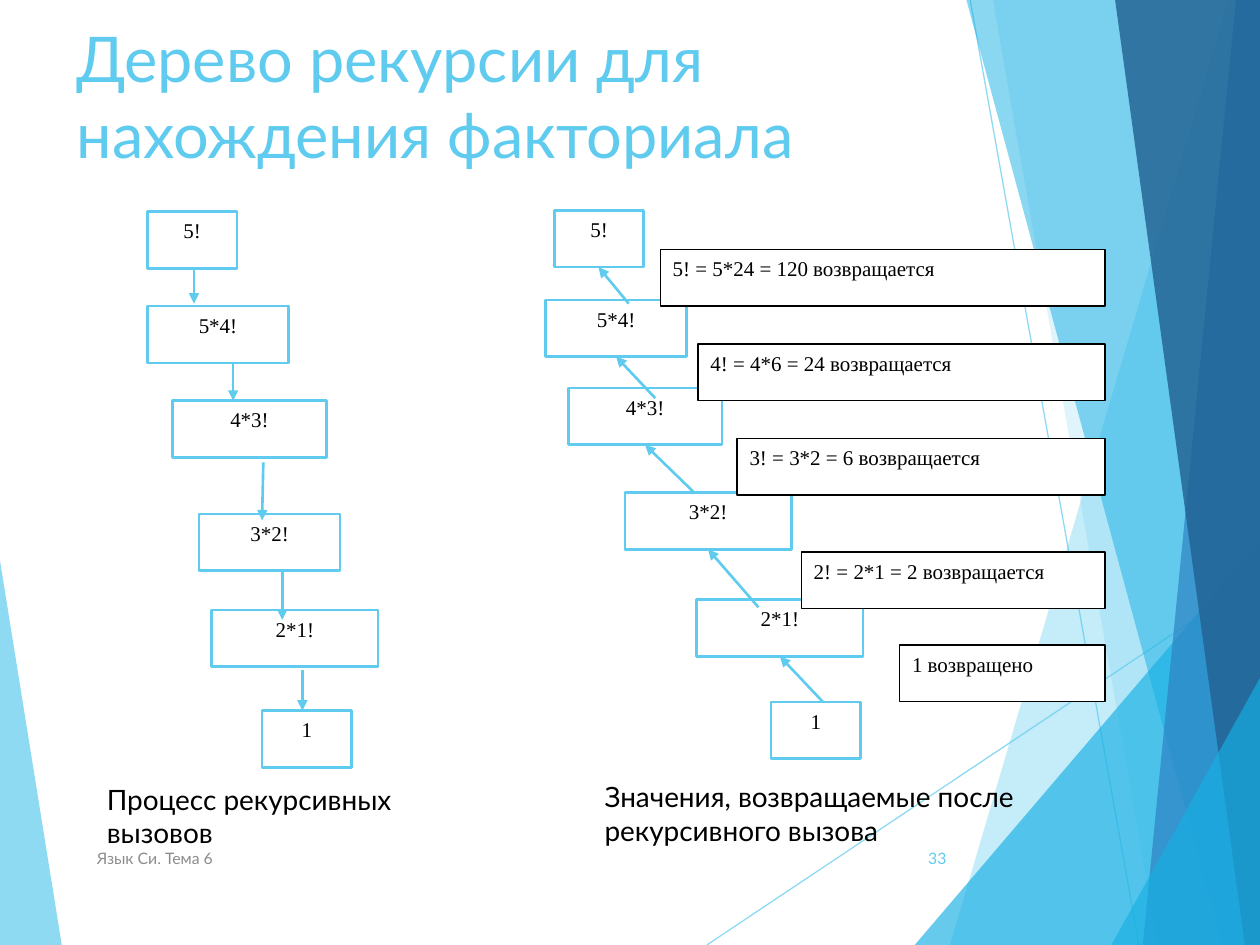
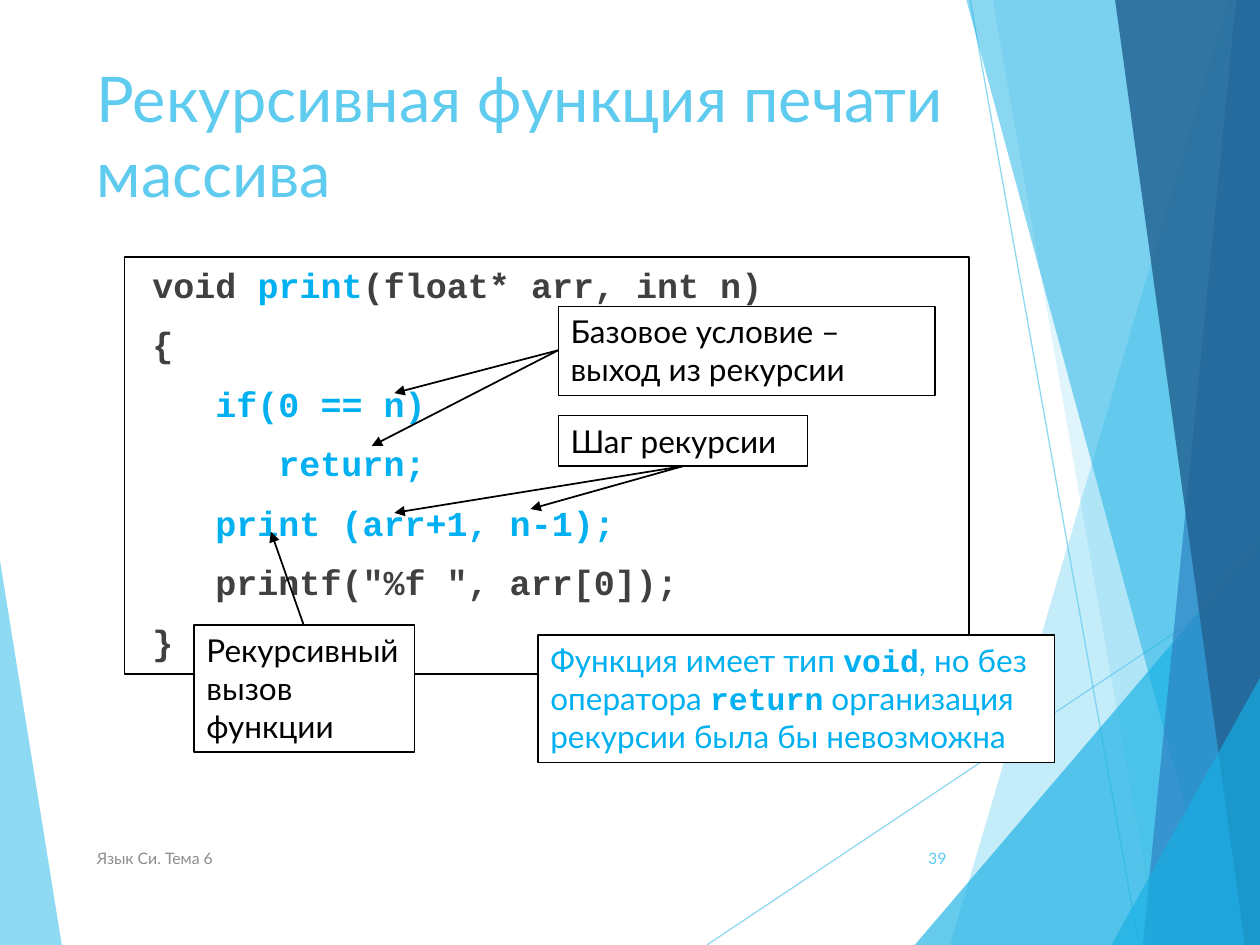
from lxml import etree
from pptx import Presentation
from pptx.dml.color import RGBColor
from pptx.enum.shapes import MSO_CONNECTOR, MSO_SHAPE
from pptx.enum.text import MSO_ANCHOR, PP_ALIGN
from pptx.oxml.ns import qn
from pptx.util import Inches, Pt

RECT, STRAIGHT = MSO_SHAPE.RECTANGLE, MSO_CONNECTOR.STRAIGHT
LEFT, CENTER, RIGHT = PP_ALIGN.LEFT, PP_ALIGN.CENTER, PP_ALIGN.RIGHT
TOP, MIDDLE = MSO_ANCHOR.TOP, MSO_ANCHOR.MIDDLE

C = {"sky": "5FCBEF", "cyan": "17B0E4", "blue": "2E83C3", "navy": "226292",
     "accent": "00B0F0", "white": "FFFFFF", "black": "000000",
     "code": "404040", "gray": "8C8C8C"}
BODY, SERIF, MONO = "Lato", "Times New Roman", "Courier New"

# Translucent bands: colour, opacity in percent, corners
LEFT_BAND = ("sky", 70, [(0, 4.45), (0.49, 7.5), (0, 7.5)])
RIGHT_BANDS = [
    ("sky", 36, [(9.75, 0), (7.54, 7.5), (10, 7.5), (10, 0)]),
    ("sky", 20, [(7.88, 0), (9.19, 7.5), (10, 7.5), (10, 0)]),
    ("cyan", 66, [(7.26, 7.5), (10, 4.29), (10, 7.5)]),
    ("cyan", 50, [(7.67, 0), (9.7, 7.5), (10, 7.5), (10, 0)]),
    ("blue", 70, [(9.81, 0), (9.07, 7.5), (10, 7.5), (10, 0)]),
    ("navy", 82, [(8.85, 0), (9.88, 7.5), (10, 7.5), (10, 0)]),
    ("cyan", 66, [(8.82, 7.5), (10, 5.38), (10, 7.5)]),
]
THIN_LINES = [(5.61, 7.5, 10, 4.57), (7.7, 0, 9.04, 7.5)]


def rgb(name):
    return RGBColor.from_string(C[name])


def add_text(p, text, size=18, color="black", font=BODY, bold=False):
    r = p.add_run()
    r.text = text
    r.font.size, r.font.name, r.font.bold = Pt(size), font, bold
    r.font.color.rgb = rgb(color)


def set_alpha(fill_owner, percent):
    for clr in fill_owner.iter(qn("a:srgbClr")):
        etree.SubElement(clr, qn("a:alpha"), val=str(percent * 1000))


class Deck:
    def __init__(self):
        self.prs = Presentation()
        self.prs.slide_width, self.prs.slide_height = Inches(10), Inches(7.5)
        self.s = None

    def slide(self, title, title_x, title_y, number):
        self.s = self.prs.slides.add_slide(self.prs.slide_layouts[6])
        self.band(*LEFT_BAND)
        for ends in THIN_LINES:
            self.line(*ends, color="sky", width=0.75, alpha=70, arrow=False)
        for band in RIGHT_BANDS:
            self.band(*band)
        self.label(title, title_x, title_y, 6.94, 1.44, size=36, color="sky")
        self.label("Язык Си. Тема 6", 0.67, 6.61, 5.06, 0.4, anchor=MIDDLE,
                   size=9, color="gray")
        self.label(str(number), 7.05, 6.61, 0.56, 0.4, anchor=MIDDLE,
                   align=RIGHT, size=9, color="sky")

    def band(self, color, alpha, corners):
        pts = [(Inches(x), Inches(y)) for x, y in corners]
        fb = self.s.shapes.build_freeform(*pts[0], scale=1.0)
        fb.add_line_segments(pts[1:], close=True)
        sp = fb.convert_to_shape()
        sp.shadow.inherit = False
        sp.fill.solid()
        sp.fill.fore_color.rgb = rgb(color)
        sp.line.fill.background()
        set_alpha(sp._element.spPr, alpha)

    def line(self, x1, y1, x2, y2, color="black", width=1.0, alpha=None, arrow=True):
        cx = self.s.shapes.add_connector(
            STRAIGHT, Inches(x1), Inches(y1), Inches(x2), Inches(y2))
        cx.line.color.rgb = rgb(color)
        cx.line.width = Pt(width)
        if alpha:
            set_alpha(cx._element.spPr, alpha)
        if arrow:
            etree.SubElement(cx.line._get_or_add_ln(), qn("a:tailEnd"), type="triangle")
        etree.SubElement(cx._element.spPr, qn("a:effectLst"))

    def label(self, text, x, y, w, h, align=LEFT, anchor=TOP, **fmt):
        sp = self.s.shapes.add_textbox(Inches(x), Inches(y), Inches(w), Inches(h))
        self.fill_text(sp, [(text, fmt)], align, anchor)

    def box(self, runs, x, y, w, h, fill="white", border="black", width=0.75,
            align=LEFT):
        sp = self.s.shapes.add_shape(RECT, Inches(x), Inches(y), Inches(w), Inches(h))
        sp.shadow.inherit = False
        if fill:
            sp.fill.solid()
            sp.fill.fore_color.rgb = rgb(fill)
        else:
            sp.fill.background()
        sp.line.color.rgb = rgb(border)
        sp.line.width = Pt(width)
        self.fill_text(sp, runs, align, TOP)
        return sp

    def fill_text(self, sp, runs, align, anchor):
        tf = sp.text_frame
        tf.word_wrap, tf.vertical_anchor = True, anchor
        p = tf.paragraphs[0]
        p.alignment = align
        for text, fmt in runs:
            add_text(p, text, **fmt)

    def call(self, text, x, y, w):
        self.box([(text, {"size": 12, "font": SERIF})], x, y, w, 0.45,
                 border="sky", width=1.5, align=CENTER)

    def result(self, text, x, y, right=8.77):
        self.box([(text, {"size": 12, "font": SERIF})], x, y, right - x, 0.45)

    def tree(self, calls, arrows):
        for text, place in zip(CALLS, calls):
            self.call(text, *place)
        for ends in arrows:
            self.line(*ends, color="sky", width=1.5)

    def code(self, lines, x, y, w, h):
        tf = self.box([], x, y, w, h, fill=None).text_frame
        tf.margin_left = Inches(0.22)
        for i, runs in enumerate(lines):
            p = tf.paragraphs[0] if i == 0 else tf.add_paragraph()
            p.alignment = LEFT
            if i:
                p.space_before = Pt(10)
            tabs = etree.SubElement(p._p.get_or_add_pPr(), qn("a:tabLst"))
            for stop in (0.5, 1):
                etree.SubElement(tabs, qn("a:tab"), pos=str(Inches(stop)), algn="l")
            for text, color in runs:
                add_text(p, text, size=20, color=color, font=MONO, bold=True)


# Slide data: boxes are (left, top, width), arrows are (x1, y1, x2, y2)
CALLS = ["5!", "5*4!", "4*3!", "3*2!", "2*1!", "1"]
DOWN_CALLS = [(1.17, 1.68, 0.71), (1.17, 2.43, 1.12), (1.37, 3.18, 1.22),
              (1.58, 4.08, 1.12), (1.68, 4.84, 1.32), (2.08, 5.64, 0.71)]
DOWN_ARROWS = [(1.54, 2.12, 1.54, 2.41), (1.85, 2.88, 1.85, 3.18),
               (2.09, 3.67, 2.08, 4.13), (2.24, 4.54, 2.24, 4.92),
               (2.4, 5.32, 2.4, 5.64)]
UP_CALLS = [(4.4, 1.67, 0.71), (4.33, 2.38, 1.12), (4.51, 3.08, 1.22),
            (4.96, 3.91, 1.32), (5.53, 4.76, 1.32), (6.12, 5.57, 0.71)]
UP_ARROWS = [(6.53, 5.57, 6.19, 5.21), (6.02, 4.82, 5.62, 4.36),
             (5.51, 3.91, 5.12, 3.53), (5.2, 3.16, 4.89, 2.83),
             (4.99, 2.41, 4.75, 2.12)]
RESULTS = [("1 возвращено", 7.14, 5.12),
           ("2! = 2*1 = 2 возвращается", 6.36, 4.38),
           ("3! = 3*2 = 6 возвращается", 5.85, 3.48),
           ("4! = 4*6 = 24 возвращается", 5.54, 2.73),
           ("5! = 5*24 = 120 возвращается", 5.24, 1.98)]
CODE = [
    [("void ", "code"), ("print", "accent"), ("(float* arr, int n)", "code")],
    [("{", "code")],
    [("\tif(0 == n)", "accent")],
    [("\t\treturn;", "accent")],
    [("\tprint (arr+1, n-1);", "accent")],
    [("\tprintf(\"%f \", arr[0]);", "code")],
    [("}", "code")],
]
CALLOUTS = [("Базовое условие – выход из рекурсии", 4.43, 2.43, 2.99, 0.71, None),
            ("Рекурсивный вызов функции", 1.54, 4.96, 1.75, 1.01, "white"),
            ("Шаг рекурсии", 4.43, 3.3, 1.98, 0.4, "white")]
POINTERS = [(4.43, 2.78, 3.13, 3.12), (4.43, 2.78, 2.95, 3.54),
            (2.41, 4.96, 2.15, 4.22), (5.42, 3.7, 4.21, 4.04),
            (5.42, 3.7, 3.13, 4.07)]


def main():
    d = Deck()

    # Recursion tree
    d.slide("Дерево рекурсии для нахождения факториала", 0.51, 0.11, 33)
    d.label("Процесс рекурсивных вызовов", 0.75, 6.16, 3, 0.49, size=16)
    d.tree(UP_CALLS, UP_ARROWS)
    for result in RESULTS:
        d.result(*result)
    d.label("Значения, возвращаемые после рекурсивного вызова",
            4.7, 6.14, 4.07, 0.6, size=16)
    d.tree(DOWN_CALLS, DOWN_ARROWS)

    # Recursive array printing
    d.slide("Рекурсивная функция печати массива", 0.67, 0.42, 39)
    d.code(CODE, 0.99, 2.04, 6.7, 3.31)
    for text, x, y, w, h, fill in CALLOUTS:
        d.box([(text, {})], x, y, w, h, fill=fill)
    for ends in POINTERS:
        d.line(*ends)
    plain = {"color": "accent"}
    keyword = {"color": "accent", "font": MONO, "bold": True}
    d.box([("Функция имеет тип ", plain), ("void", keyword),
           (", но без оператора ", plain), ("return", keyword),
           (" организация рекурсии была бы невозможна", plain)],
          4.27, 5.04, 4.1, 1.01)

    d.prs.save("out.pptx")


if __name__ == "__main__":
    main()
